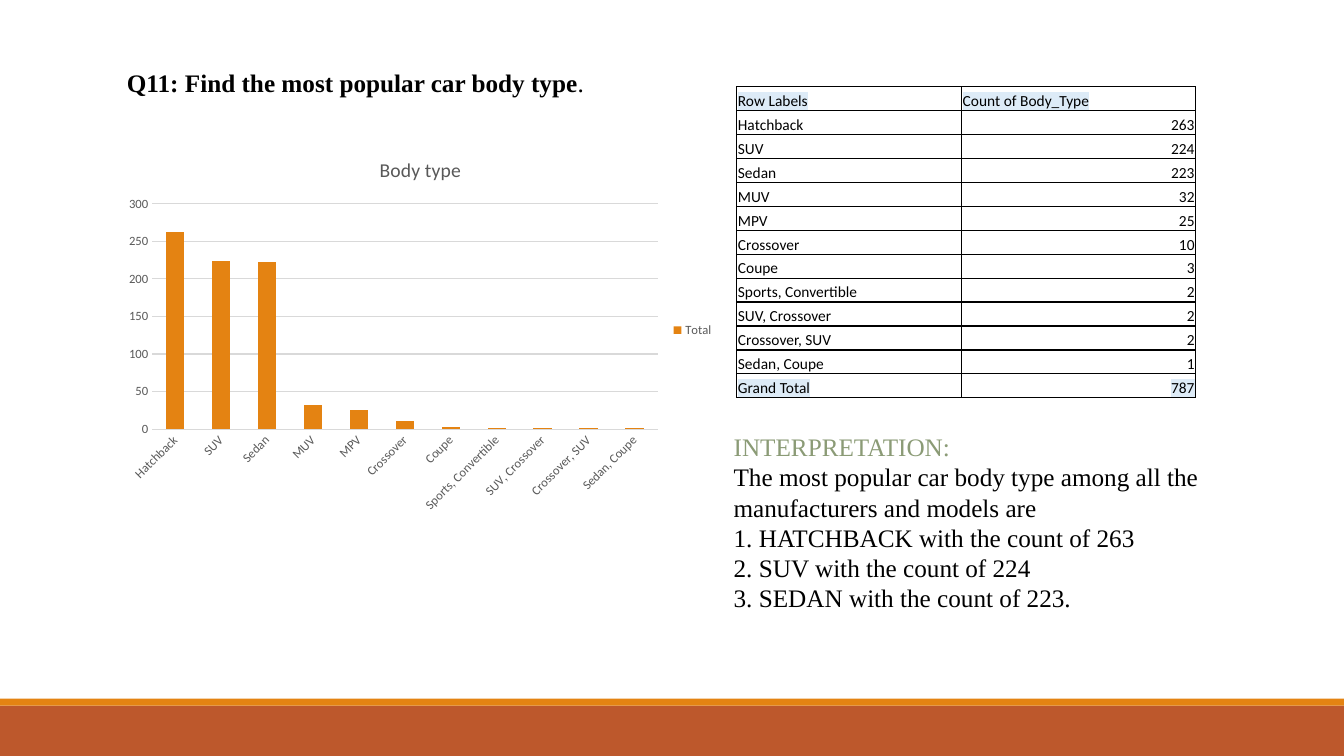
from lxml import etree
from pptx import Presentation
from pptx.chart.data import CategoryChartData
from pptx.dml.color import RGBColor
from pptx.enum.chart import XL_CHART_TYPE, XL_LEGEND_POSITION, XL_TICK_MARK
from pptx.enum.shapes import MSO_SHAPE
from pptx.enum.text import MSO_ANCHOR, MSO_AUTO_SIZE, PP_ALIGN
from pptx.oxml.ns import qn
from pptx.util import Inches, Pt

COLUMNS = XL_CHART_TYPE.COLUMN_CLUSTERED
LEGEND_RIGHT = XL_LEGEND_POSITION.RIGHT
NO_TICKS = XL_TICK_MARK.NONE
RECTANGLE = MSO_SHAPE.RECTANGLE
BOTTOM = MSO_ANCHOR.BOTTOM
GROW = MSO_AUTO_SIZE.SHAPE_TO_FIT_TEXT
LEFT, RIGHT = PP_ALIGN.LEFT, PP_ALIGN.RIGHT

BODY_COUNTS = {
    "Hatchback": 263, "SUV": 224, "Sedan": 223, "MUV": 32, "MPV": 25,
    "Crossover": 10, "Coupe": 3, "Sports, Convertible": 2,
    "SUV, Crossover": 2, "Crossover, SUV": 2, "Sedan, Coupe": 1,
}


def color(hex_text):
    return RGBColor.from_string(hex_text)


class SlideBuilder:
    """Places elements by percentages of the slide's width and height."""

    serif, sans = "Times New Roman", "Calibri"
    black, gray, grid = "000000", "595959", "D9D9D9"
    orange, rust, sage, pale_blue = "E48312", "BD582C", "8B9B76", "DDEBF7"

    def __init__(self, deck):
        self.deck = deck
        self.slide = deck.slides.add_slide(deck.slide_layouts[6])

    def across(self, percent):
        return round(self.deck.slide_width * percent / 100)

    def down(self, percent):
        return round(self.deck.slide_height * percent / 100)

    def area(self, left, top, width, height):
        return (self.across(left), self.down(top),
                self.across(width), self.down(height))

    def style_font(self, font, size, hex_text, name, bold=False):
        font.size, font.name, font.bold = Pt(size), name, bold
        font.color.rgb = color(hex_text)

    def band(self, top, height, hex_text):
        band = self.slide.shapes.add_shape(RECTANGLE, *self.area(0, top, 100, height))
        band.shadow.inherit = False
        band.fill.solid()
        band.fill.fore_color.rgb = color(hex_text)
        band.line.fill.background()

    def text(self, area, paragraphs):
        """Each paragraph is a list of (wording, colour, bold) runs."""
        box = self.slide.shapes.add_textbox(*self.area(*area))
        frame = box.text_frame
        frame.word_wrap, frame.auto_size = True, GROW
        for index, spans in enumerate(paragraphs):
            para = frame.add_paragraph() if index else frame.paragraphs[0]
            for wording, hex_text, bold in spans:
                span = para.add_run()
                span.text = wording
                self.style_font(span.font, 18, hex_text, self.serif, bold)

    def chart(self, area, title, series_name, counts):
        data = CategoryChartData()
        data.categories = list(counts)
        data.add_series(series_name, list(counts.values()))
        chart = self.slide.shapes.add_chart(COLUMNS, *self.area(*area), data).chart
        self.style_font(chart.font, 10, self.black, self.sans)

        # Title and legend
        chart.has_title = True
        span = chart.chart_title.text_frame.paragraphs[0].add_run()
        span.text = title
        self.style_font(span.font, 14, self.gray, self.sans)
        chart.has_legend = True
        chart.legend.position = LEGEND_RIGHT
        chart.legend.include_in_layout = False
        self.style_font(chart.legend.font, 9, self.gray, self.sans)

        # Columns
        plot = chart.plots[0]
        plot.gap_width, plot.vary_by_categories = 150, False
        fill = plot.series[0].format.fill
        fill.solid()
        fill.fore_color.rgb = color(self.orange)

        # Axes, with slanted category labels
        for axis in (chart.category_axis, chart.value_axis):
            axis.major_tick_mark = axis.minor_tick_mark = NO_TICKS
            axis.format.line.fill.background()
            self.style_font(axis.tick_labels.font, 9, self.gray, self.sans)
        chart.value_axis.minimum_scale, chart.value_axis.maximum_scale = 0, 300
        chart.value_axis.major_unit = 50
        gridline = chart.value_axis.major_gridlines.format.line
        gridline.color.rgb, gridline.width = color(self.grid), Pt(0.75)
        labels = chart.category_axis.tick_labels.font
        slant = labels._element.getparent().getparent().getparent()
        slant.find(qn("a:bodyPr")).set("rot", "-2700000")

    def table(self, left, top, widths, row_height, rows, marked_rows):
        area = self.area(left, top, sum(widths), row_height * len(rows))
        table = self.slide.shapes.add_table(len(rows), len(widths), *area).table
        table.first_row = table.horz_banding = False
        for column, width in zip(table.columns, widths):
            column.width = self.across(width)
        for row_index, values in enumerate(rows):
            table.rows[row_index].height = self.down(row_height)
            for column_index, value in enumerate(values):
                align = RIGHT if isinstance(value, int) else LEFT
                self.cell(table.cell(row_index, column_index), str(value),
                          align, row_index in marked_rows)

    def cell(self, cell, wording, align, marked):
        cell.vertical_anchor = BOTTOM
        cell.margin_left = cell.margin_right = cell.margin_top = Inches(0.01)
        cell.margin_bottom = 0
        cell.fill.background()
        para = cell.text_frame.paragraphs[0]
        para.alignment = align
        span = para.add_run()
        span.text = wording
        self.style_font(span.font, 11, self.black, self.sans)
        if marked:
            highlight = etree.Element(qn("a:highlight"))
            etree.SubElement(highlight, qn("a:srgbClr"), val=self.pale_blue)
            span.font._element.find(qn("a:solidFill")).addnext(highlight)
        # Borders come before the fill
        properties = cell._tc.get_or_add_tcPr()
        for index, side in enumerate("LRTB"):
            line = etree.Element(qn(f"a:ln{side}"), w=str(Pt(1)))
            fill = etree.SubElement(line, qn("a:solidFill"))
            etree.SubElement(fill, qn("a:srgbClr"), val=self.black)
            properties.insert(index, line)


def main():
    deck = Presentation()
    deck.slide_width, deck.slide_height = Inches(13.33), Inches(7.5)
    page = SlideBuilder(deck)

    # Footer bands
    page.band(93.33, 6.67, page.rust)
    page.band(92.4, 0.93, page.orange)

    # Chart and question
    page.chart((8.7, 18.53, 45.15, 50.27), "Body type", "Total", BODY_COUNTS)
    page.text((8.7, 8.27, 40.65, 5.33), [[
        ("Q11: Find the most popular car body type", page.black, True),
        (".", page.black, False),
    ]])

    # Interpretation
    findings = [
        "The most popular car body type among all the manufacturers and models are",
        "1. HATCHBACK with the count of 263",
        "2. SUV with the count of 224",
        "3. SEDAN with the count of 223.",
    ]
    page.text((53.85, 56.4, 42.6, 25.6),
              [[("INTERPRETATION:", page.sage, False)]]
              + [[(finding, page.black, False)] for finding in findings])

    # Count table
    rows = [("Row Labels", "Count of Body_Type"), *BODY_COUNTS.items(),
            ("Grand Total", sum(BODY_COUNTS.values()))]
    page.table(54.83, 11.47, (16.73, 17.4), 3.17, rows, (0, len(rows) - 1))

    deck.save("out.pptx")


if __name__ == "__main__":
    main()
